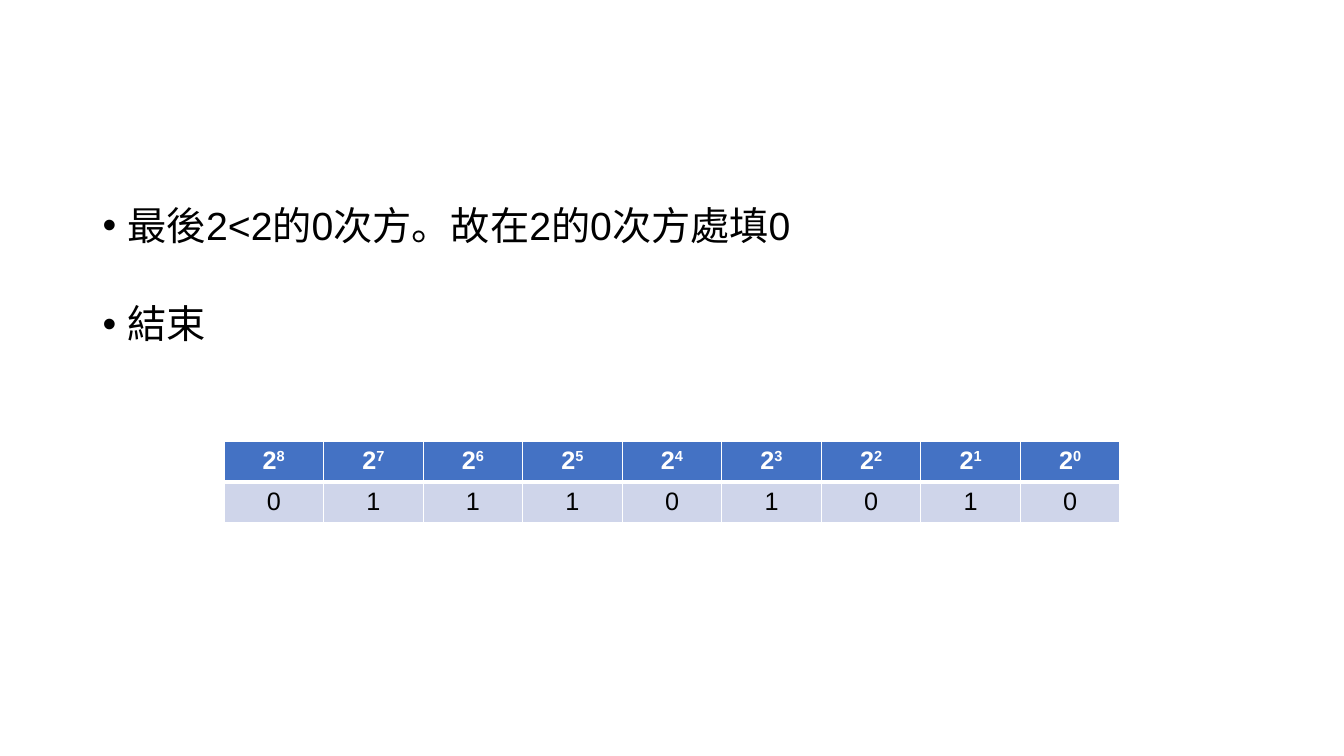
import pptx
import pptx.dml.color
import pptx.enum.text
import pptx.oxml.ns
import pptx.util
from lxml import etree

SLIDE_W, SLIDE_H = 13.33, 7.5
STEPS = ["最後2<2的0次方。故在2的0次方處填0", "結束"]
BITS = "011101010"
HEADER = {"size": pptx.util.Pt(18), "name": "Arial", "bold": True}
DIGIT = {**HEADER, "bold": False}
STEP = {"size": pptx.util.Pt(28), "name": "Arial"}


def color(hex_code):
    """Turn a hex string into a colour."""
    return pptx.dml.color.RGBColor.from_string(hex_code)


def inches(*lengths):
    """Convert lengths in inches."""
    return [pptx.util.Inches(length) for length in lengths]


def add_element(parent, tag, **attributes):
    """Append a drawing element with the given attributes."""
    return etree.SubElement(parent, pptx.oxml.ns.qn(tag), attributes)


def add_run(paragraph, text, style, hex_code):
    """Add a styled run of text."""
    run = paragraph.add_run()
    run.text = text
    for key, value in style.items():
        setattr(run.font, key, value)
    run.font.color.rgb = color(hex_code)
    return run


def add_steps(slide, left, top, width, height):
    """Place the bulleted closing steps in the given box."""
    frame = slide.shapes.add_textbox(*inches(left, top, width, height)).text_frame
    frame.word_wrap = True
    for index, step in enumerate(STEPS):
        paragraph = frame.paragraphs[0] if index == 0 else frame.add_paragraph()
        paragraph.line_spacing = 0.9
        if index:
            paragraph.space_before = pptx.util.Pt(40)
        properties = paragraph._p.get_or_add_pPr()
        indent = pptx.util.Inches(0.25)
        properties.set("marL", str(indent))
        properties.set("indent", str(-indent))
        add_element(properties, "a:buFont", typeface="Arial")
        add_element(properties, "a:buChar", char="•")
        add_run(paragraph, step, STEP, "000000")


def format_cell(cell, fill, edges):
    """Centre a cell's text and give it white edges and a fill."""
    properties = cell._tc.get_or_add_tcPr()
    for side, points in edges.items():
        edge = add_element(properties, f"a:ln{side}", w=str(pptx.util.Pt(points)))
        add_element(add_element(edge, "a:solidFill"), "a:srgbClr", val="FFFFFF")
    cell.fill.solid()
    cell.fill.fore_color.rgb = color(fill)
    cell.text_frame.paragraphs[0].alignment = pptx.enum.text.PP_ALIGN.CENTER


def add_bit_table(slide, left, top, width, height):
    """Place the powers of two above their binary digits."""
    table = slide.shapes.add_table(
        2, len(BITS), *inches(left, top, width, height)
    ).table
    for column, bit in enumerate(BITS):
        power, digit = table.cell(0, column), table.cell(1, column)
        format_cell(power, "4472C4", {"L": 1, "R": 1, "T": 1, "B": 3})
        format_cell(digit, "CFD5EA", {"L": 1, "R": 1, "T": 3, "B": 1})
        heading = power.text_frame.paragraphs[0]
        add_run(heading, "2", HEADER, "FFFFFF")
        exponent = add_run(heading, str(len(BITS) - 1 - column), HEADER, "FFFFFF")
        exponent._r.get_or_add_rPr().set("baseline", "30000")
        add_run(digit.text_frame.paragraphs[0], bit, DIGIT, "000000")


def main():
    """Build the slide and save it."""
    deck = pptx.Presentation()
    deck.slide_width, deck.slide_height = inches(SLIDE_W, SLIDE_H)
    slide = deck.slides.add_slide(deck.slide_layouts[6])
    add_bit_table(slide, SLIDE_W / 6, 4.38, SLIDE_W * 2 / 3, 0.81)
    add_steps(slide, 0.92, 2, 11.5, 4.76)
    deck.save("out.pptx")


if __name__ == "__main__":
    main()
